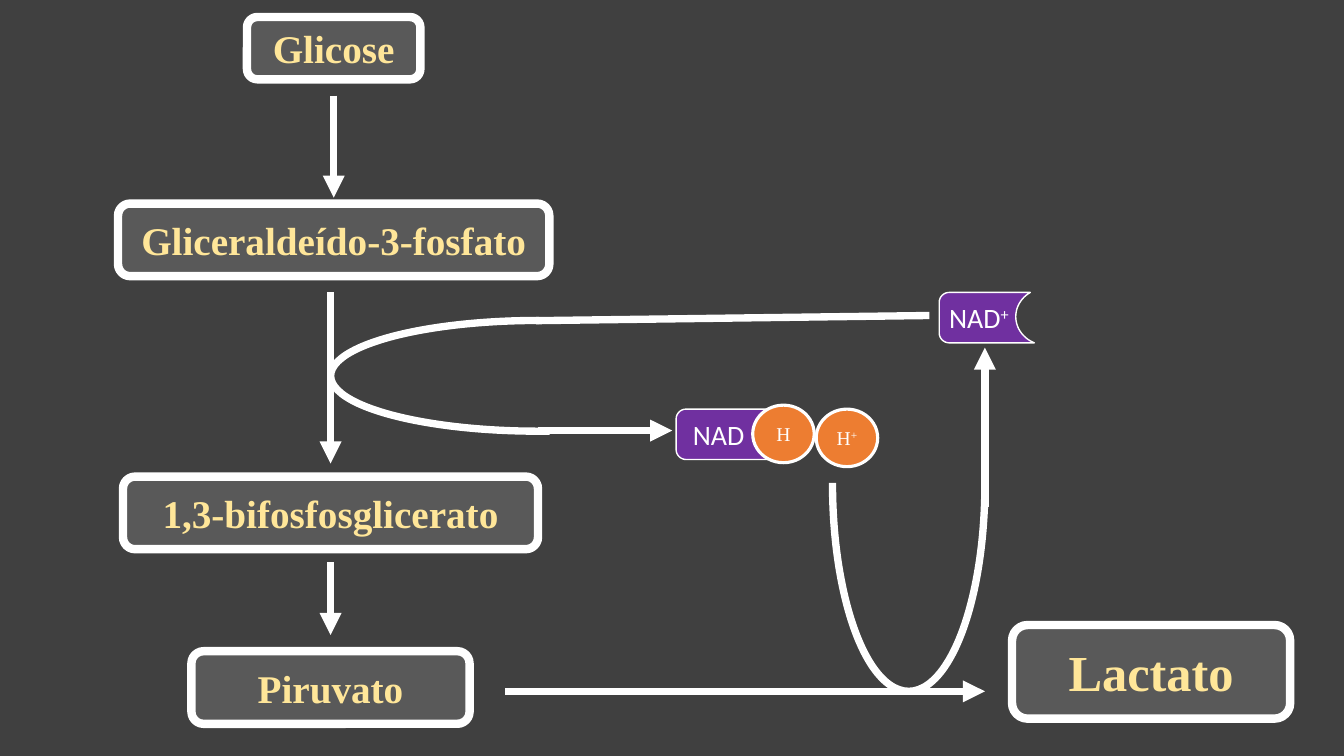
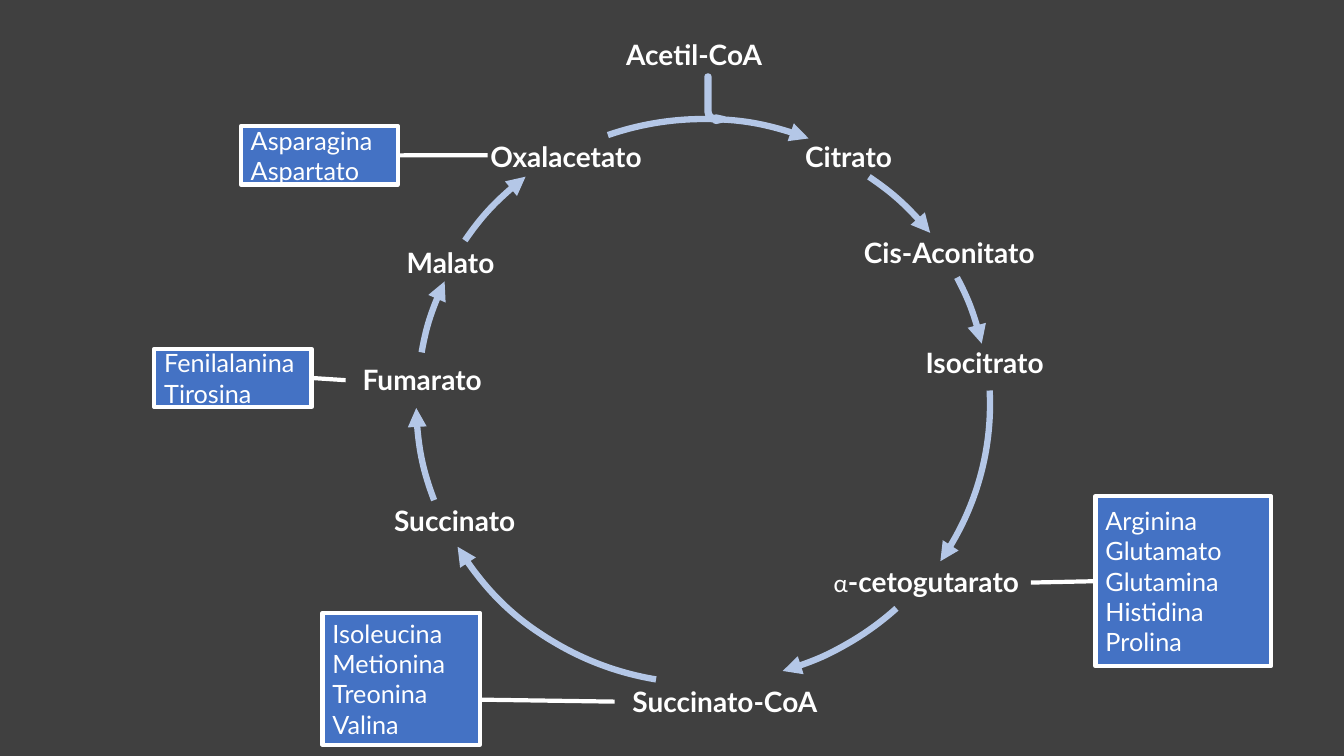
"""Build two dark slides: lactic fermentation and the citric acid cycle."""
from dataclasses import dataclass
from math import asin, cos, pi, sin

from lxml.etree import SubElement as Sub
from pptx import Presentation
from pptx.dml.color import RGBColor as Rgb
from pptx.enum.shapes import MSO_CONNECTOR as Conn, MSO_SHAPE as Kind
from pptx.enum.text import MSO_ANCHOR as Anchor, PP_ALIGN as Align
from pptx.oxml.ns import qn
from pptx.util import Cm, Pt


@dataclass(frozen=True)
class Theme:
    back: str = "404040"
    white: str = "FFFFFF"
    gray: str = "595959"
    cream: str = "FFE699"
    purple: str = "7030A0"
    orange: str = "ED7D31"
    blue: str = "4472C4"
    pale: str = "B4C7E7"
    brown: str = "843C0B"
    serif: str = "Times New Roman"
    sans: str = "Calibri"
    lato: str = "Lato"
    big: float = 36
    step: float = 28
    node: float = 20
    body: float = 18
    small: float = 14
    frame: float = 6
    flow: float = 5.25
    cycle: float = 4.5
    thin: float = 3
    ring: float = 2.25
    hair: float = 1


T = Theme()

STEPS = [
    ("Glicose", 8.41, 0.43, 4.37, 1.57, T.step),
    ("Gliceraldeído-3-fosfato", 8.41, 5.13, 10.87, 1.83, T.step),
    ("1,3-bifosfosglicerato", 8.33, 12.01, 10.46, 1.83, T.step),
    ("Piruvato", 8.33, 16.41, 7.01, 1.83, T.step),
    ("Lactato", 29.01, 15.75, 7.01, 2.36, T.big),
]
FLOWS = [
    ((8.41, 2.41), (8.41, 4.98), True),
    ((8.33, 7.37), (8.33, 11.68), True),
    ((8.33, 14.17), (8.33, 16), True),
    ((12.73, 17.42), (24.82, 17.42), True),
    ((24.82, 12.78), (24.82, 8.76), True),
    ((13.56, 10.85), (16.94, 10.85), True),
    ((23.42, 7.95), (13.51, 8.08), False),
]
LOOPS = [((20.98, 6.96, 3.84, 10.46), 180), ((12.17, 4.24, 2.79, 10.46), 270)]
BEND = (168.45, 0.62)
TAGS = [(17.04, 10.31, 0.42, ["NAD"]), (23.67, 7.37, 0.25, ["NAD", "+"])]
BALLS = [(18.97, 10.21, ["H"]), (20.57, 10.31, ["H", "+"])]

NODES = [
    ("Acetil-CoA", 15.21, 0.81, 4.57),
    ("Oxalacetato", 11.18, 3.4, 6.17),
    ("Citrato", 19.58, 3.4, 3.61),
    ("Cis-Aconitato", 21.26, 5.82, 5.33),
    ("Isocitrato", 23.01, 8.59, 3.61),
    ("α-cetogutarato", 20.68, 14.1, 5.33),
    ("Succinato-CoA", 15.49, 17.12, 5.56),
    ("Succinato", 9.53, 12.57, 3.86),
    ("Fumarato", 8.71, 9.02, 3.86),
    ("Malato", 9.73, 6.05, 3.25),
]
ARCS = [
    (10.57, 3.2, 305.46, 322.34),
    (10.49, 3.18, 333.34, 347.53),
    (10.52, 3.15, 357.27, 33.57),
    (10.49, 3.12, 46.64, 73.34),
    (10.52, 3.15, 99.82, 149.9),
    (10.49, 3.12, 160.09, 178.99),
    (10.52, 3.05, 189.61, 204.62),
    (10.49, 2.95, 213.23, 231.13),
    (10.52, 3, 250, 292),
]
RIGHT, LEFT = 3, 1
AMINOS = [
    (["Asparagina", "Aspartato"], (6.07, 3.18, 3.96, 1.47), RIGHT, None, (12.29, 3.91)),
    (["Fenilalanina", "Tirosina"], (3.89, 8.79, 3.96, 1.47), RIGHT, None, (8.71, 9.58)),
    (["Isoleucina", "Metionina", "Treonina", "Valina"],
     (8.13, 15.44, 3.96, 3.33), RIGHT, 17.63, (15.49, 17.68)),
    (["Arginina", "Glutamato", "Glutamina", "Histidina", "Prolina"],
     (27.61, 12.5, 4.42, 4.29), LEFT, None, (25.98, 14.68)),
]


def cms(vals):
    return [Cm(v) for v in vals]


def ink(line, color, width):
    line.color.rgb = Rgb.from_string(color)
    line.width = Pt(width)


def head(item):
    Sub(item.element.spPr.find(qn("a:ln")), qn("a:tailEnd"), type="triangle")


def paint(item, fill, color, width):
    item.shadow.inherit = False
    if fill:
        item.fill.solid()
        item.fill.fore_color.rgb = Rgb.from_string(fill)
    else:
        item.fill.background()
    ink(item.line, color, width)
    return item


def shape(slide, kind, box, fill, color, width):
    return paint(slide.shapes.add_shape(kind, *cms(box)), fill, color, width)


def link(slide, start, end, width, tip=False):
    line = slide.shapes.add_connector(Conn.STRAIGHT, *cms(start + end))
    ink(line.line, T.white, width)
    if tip:
        head(line)
    Sub(line.element.spPr, qn("a:effectLst"))
    return line


def arc(slide, box, span, color, width):
    curve = shape(slide, Kind.ARC, box, None, color, width)
    for i, deg in enumerate(span):
        curve.adjustments[i] = deg * 0.6
    return curve


def add_run(para, text, size, font, color=T.white, bold=False, sup=False):
    run = para.add_run()
    run.text = text
    run.font.size, run.font.name, run.font.bold = Pt(size), font, bold
    run.font.color.rgb = Rgb.from_string(color)
    if sup:
        run.font._element.set("baseline", "30000")


def charge(para, parts, size, font):
    for i, part in enumerate(parts):
        add_run(para, part, size, font, sup=i > 0)


def tag(slide, x, y, inset, parts):
    """Draw a rounded tag with a round notch at its right side."""
    high, rad, mid, rx, ry = 1.27, 0.25, 0.61, 0.78, 0.72
    top, low, n = -asin(mid / ry), asin((high - mid) / ry), 24
    turns = [top + (low - top) * i / n for i in range(n + 1)]
    pts = [(2.71 - rx * cos(a), mid + ry * sin(a)) for a in turns]
    for cy, base in ((high - rad, pi / 2), (rad, pi)):
        for i in range(9):
            a = base + pi / 16 * i
            pts.append((rad + rad * cos(a), cy + rad * sin(a)))
    pts = [(Cm(x + px), Cm(y + py)) for px, py in pts]
    form = slide.shapes.build_freeform(*pts[0])
    form.add_line_segments(pts[1:], close=True)
    item = paint(form.convert_to_shape(), T.purple, T.white, T.hair)
    frame = item.text_frame
    frame.word_wrap, frame.vertical_anchor = True, Anchor.MIDDLE
    frame.margin_left, frame.margin_right = Cm(inset), 0
    para = frame.paragraphs[0]
    para.alignment = Align.LEFT
    charge(para, parts, T.node, T.sans)


def ferment(slide):
    for text, mid, top, wide, high, size in STEPS:
        box = (mid - wide / 2, top, wide, high)
        item = shape(slide, Kind.ROUNDED_RECTANGLE, box, T.gray, T.white, T.frame)
        item.text_frame.vertical_anchor = Anchor.MIDDLE
        para = item.text_frame.paragraphs[0]
        para.alignment = Align.CENTER
        add_run(para, text, size, T.serif, T.cream, True)
    for start, end, tip in FLOWS:
        link(slide, start, end, T.flow, tip)
    for box, turn in LOOPS:
        arc(slide, box, BEND, T.white, T.flow).rotation = turn
    for spec_tag in TAGS:
        tag(slide, *spec_tag)
    for x, y, parts in BALLS:
        ball = shape(slide, Kind.OVAL, (x, y, 1.55, 1.45), T.orange, T.white, T.ring)
        frame = ball.text_frame
        frame.margin_left = frame.margin_right = 0
        frame.vertical_anchor = Anchor.MIDDLE
        frame.paragraphs[0].alignment = Align.CENTER
        charge(frame.paragraphs[0], parts, T.small, T.serif)


def krebs(slide):
    for x, y, start, end in ARCS:
        head(arc(slide, (x, y, 14.43, 14.07), (start, end), T.pale, T.cycle))
    entry = shape(slide, Kind.BENT_ARROW, (17.83, 1.93, 0.41, 1.12),
                  T.brown, T.pale, T.cycle)
    for i, val in enumerate((0.06, 0.11, 0.5, 0.84)):
        entry.adjustments[i] = val
    entry.element.spPr.find(qn("a:xfrm")).set("flipV", "1")
    for text, x, y, wide in NODES:
        frame = slide.shapes.add_textbox(*cms((x, y, wide, 1.12))).text_frame
        frame.word_wrap = True
        para = frame.paragraphs[0]
        para.alignment = Align.CENTER
        if text.startswith("α"):
            add_run(para, "α", T.body, T.sans)
            text = text[1:]
        add_run(para, text, T.node, T.lato, bold=True)
    for names, box, side, level, end in AMINOS:
        item = shape(slide, Kind.RECTANGLE, box, T.blue, T.white, T.thin)
        frame = item.text_frame
        frame.vertical_anchor = Anchor.MIDDLE
        for i, name in enumerate(names):
            para = frame.add_paragraph() if i else frame.paragraphs[0]
            para.alignment = Align.LEFT
            add_run(para, name, T.body, T.lato)
        x, y, wide, high = box
        edge = x + wide if side == RIGHT else x
        line = link(slide, (edge, level or y + high / 2), end, T.thin)
        if level is None:
            line.begin_connect(item, side)


def main():
    deck = Presentation()
    deck.slide_width, deck.slide_height = Cm(33.87), Cm(19.05)
    fill = deck.slide_master.background.fill
    fill.solid()
    fill.fore_color.rgb = Rgb.from_string(T.back)
    for draw in (ferment, krebs):
        draw(deck.slides.add_slide(deck.slide_layouts[6]))
    deck.save("out.pptx")


if __name__ == "__main__":
    main()
